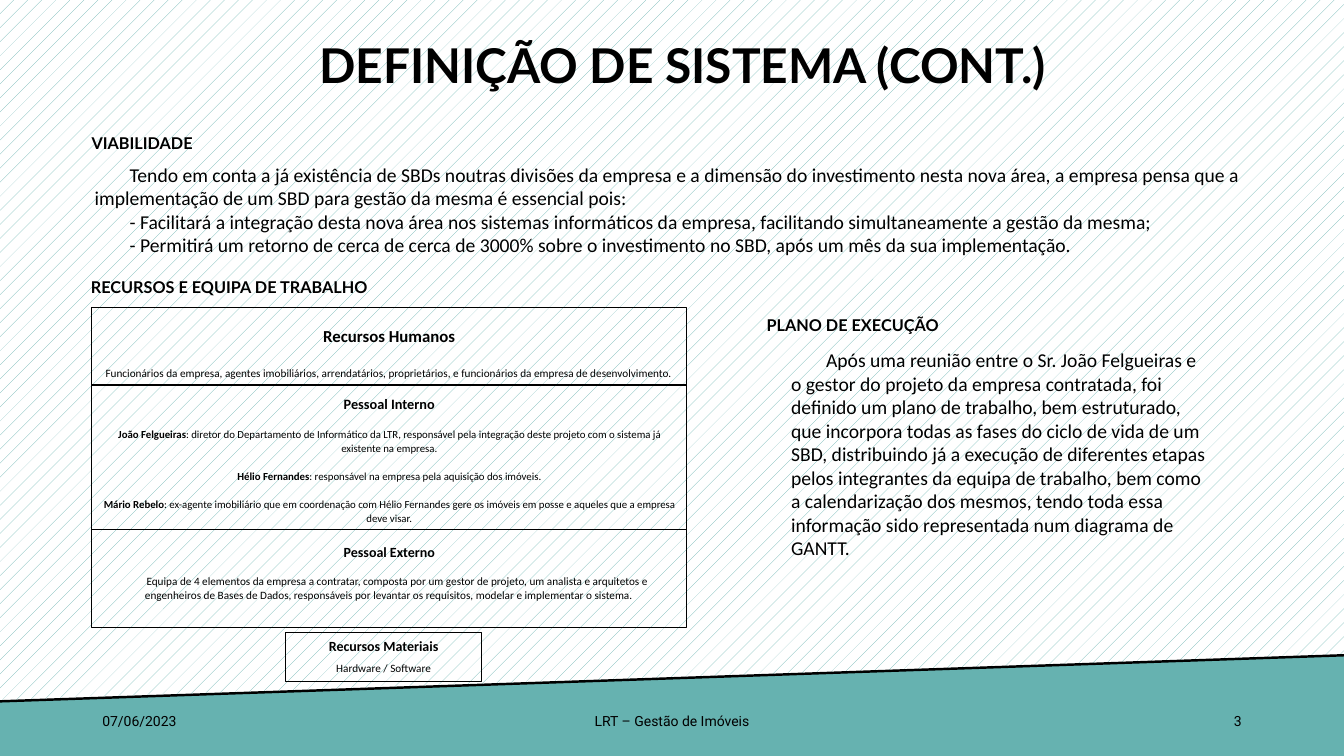
from lxml import etree
from pptx import Presentation
from pptx.dml.color import RGBColor
from pptx.enum import dml, shapes, text
from pptx.oxml import ns
from pptx.util import Pt

BLACK, TEAL, WHITE = "000000", "66B2B0", "FFFFFF"
LEFT, CENTER, RIGHT = text.PP_ALIGN.LEFT, text.PP_ALIGN.CENTER, text.PP_ALIGN.RIGHT
TOP, MIDDLE = text.MSO_ANCHOR.TOP, text.MSO_ANCHOR.MIDDLE


def color(value):
    return RGBColor.from_string(value)


def write(shape, rows, font="Calibri", align=LEFT, anchor=TOP):
    """Each row: bold part, plain part, size, line spacing, space before, first-line indent."""
    frame = shape.text_frame
    frame.word_wrap = True
    frame.vertical_anchor = anchor
    for i, (bold, plain, size, spacing, before, indent) in enumerate(rows):
        paragraph = frame.paragraphs[0] if i == 0 else frame.add_paragraph()
        paragraph.alignment = align
        paragraph.line_spacing = spacing
        paragraph.space_before = Pt(before)
        if indent:
            properties = paragraph._p.get_or_add_pPr()
            properties.set("marL", "0")
            properties.set("indent", str(Pt(indent)))
        for part, is_bold in ((bold, True), (plain, False)):
            if part:
                run = paragraph.add_run()
                run.text = part
                run.font.name = font
                run.font.size = Pt(size)
                run.font.bold = is_bold
                run.font.color.rgb = color(BLACK)


prs = Presentation()
prs.slide_width, prs.slide_height = Pt(960), Pt(540)
slide = prs.slides.add_slide(prs.slide_layouts[6])

# Patterned background
backdrop = slide.background.fill
backdrop.patterned()
backdrop.pattern = dml.MSO_PATTERN.PERCENT_5
backdrop.fore_color.rgb = color(TEAL)
backdrop.back_color.rgb = color(WHITE)

# Slanted footer band with its edge
builder = slide.shapes.build_freeform(Pt(-1), Pt(501), scale=1.0)
builder.add_line_segments([(Pt(x), Pt(y)) for x, y in ((961, 468), (961, 540), (0, 542))])
band = builder.convert_to_shape()
band.shadow.inherit = False
band.fill.solid()
band.fill.fore_color.rgb = color(TEAL)
band.line.fill.background()

edge = slide.shapes.add_connector(
    shapes.MSO_CONNECTOR.STRAIGHT, Pt(961), Pt(468), Pt(-1), Pt(501))
edge.line.color.rgb = color(BLACK)
edge.line.width = Pt(1.75)
etree.SubElement(edge._element.spPr, ns.qn("a:effectLst"))

# Footer texts
for label, left, width, align in (
        ("07/06/2023", 66, 216, LEFT),
        ("LRT – Gestão de Imóveis", 318, 324, CENTER),
        ("3", 678, 216, RIGHT)):
    footer = slide.shapes.add_textbox(Pt(left), Pt(500.5), Pt(width), Pt(29))
    write(footer, [("", label, 10, 1.0, 0, 0)], "Roboto", align, MIDDLE)

# Title and section headings
for heading, left, top, width, height, size, spacing in (
        ("DEFINIÇÃO DE SISTEMA (CONT.)", 221, 17.5, 577.5, 62, 34.2, 0.9),
        ("VIABILIDADE", 58.3, 95, 238, 18, 11.6, 0.7),
        ("RECURSOS E EQUIPA DE TRABALHO", 57.8, 198, 238, 18, 11.6, 0.7),
        ("PLANO DE EXECUÇÃO", 540.5, 224.5, 238, 18, 11.6, 0.7)):
    box = slide.shapes.add_textbox(Pt(left), Pt(top), Pt(width), Pt(height))
    write(box, [(heading, "", size, spacing, 0, 0)], "Lato", LEFT, MIDDLE)

# Body texts
viability = (
    "Tendo em conta a já existência de SBDs noutras divisões da empresa e a dimensão do "
    "investimento nesta nova área, a empresa pensa que a implementação de um SBD para gestão "
    "da mesma é essencial pois:",
    "- Facilitará a integração desta nova área nos sistemas informáticos da empresa, "
    "facilitando simultaneamente a gestão da mesma;",
    "- Permitirá um retorno de cerca de cerca de 3000% sobre o investimento no SBD, após um "
    "mês da sua implementação.",
)
plan = (
    "Após uma reunião entre o Sr. João Felgueiras e o gestor do projeto da empresa contratada, "
    "foi definido um plano de trabalho, bem estruturado, que incorpora todas as fases do ciclo "
    "de vida de um SBD, distribuindo já a execução de diferentes etapas pelos integrantes da "
    "equipa de trabalho, bem como a calendarização dos mesmos, tendo toda essa informação sido "
    "representada num diagrama de GANTT.",
)
for passages, left, top, width, height in (
        (viability, 60.5, 112.5, 860.5, 75),
        (plan, 558, 245, 312, 160)):
    body = slide.shapes.add_textbox(Pt(left), Pt(top), Pt(width), Pt(height))
    write(body, [("", passage, 14, 1.0, 0, 25) for passage in passages])

# Resource boxes
human = [
    ("Recursos Humanos", "", 12, Pt(24), 0, 0),
    ("", "Funcionários da empresa, agentes imobiliários, arrendatários, proprietários, e "
     "funcionários da empresa de desenvolvimento.", 8, Pt(24), 0, 0),
]
internal = [
    ("Pessoal Interno", "", 10.2, 1.3, 0, 0),
    ("João Felgueiras", ": diretor do Departamento de Informático da LTR, responsável pela "
     "integração deste projeto com o sistema já existente na empresa.", 7.7, Pt(10), 10, 0),
    ("Hélio Fernandes", ": responsável na empresa pela aquisição dos imóveis.",
     7.7, Pt(10), 10, 0),
    ("Mário Rebelo", ": ex-agente imobiliário que em coordenação com Hélio Fernandes gere os "
     "imóveis em posse e aqueles que a empresa deve visar.", 7.7, Pt(10), 10, 0),
]
external = [
    ("Pessoal Externo", "", 10, 1.5, 0, 0),
    ("", "Equipa de 4 elementos da empresa a contratar, composta por um gestor de projeto, um "
     "analista e arquitetos e engenheiros de Bases de Dados, responsáveis por levantar os "
     "requisitos, modelar e implementar o sistema.", 8, Pt(10), 10, 12),
]
material = [
    ("Recursos Materiais", "", 10, 1.0, 0, 0),
    ("", "Hardware / Software", 8, 1.5, 0, 0),
]
for rows, left, top, width, height in (
        (human, 65.5, 219.5, 425, 55.5),
        (internal, 65.5, 275, 425, 103.5),
        (external, 65.5, 378.5, 425, 70),
        (material, 204, 452, 140, 35)):
    resource = slide.shapes.add_shape(
        shapes.MSO_SHAPE.RECTANGLE, Pt(left), Pt(top), Pt(width), Pt(height))
    resource.shadow.inherit = False
    resource.fill.background()
    resource.line.color.rgb = color(BLACK)
    resource.line.width = Pt(0.75)
    write(resource, rows, align=CENTER)

prs.save("out.pptx")
